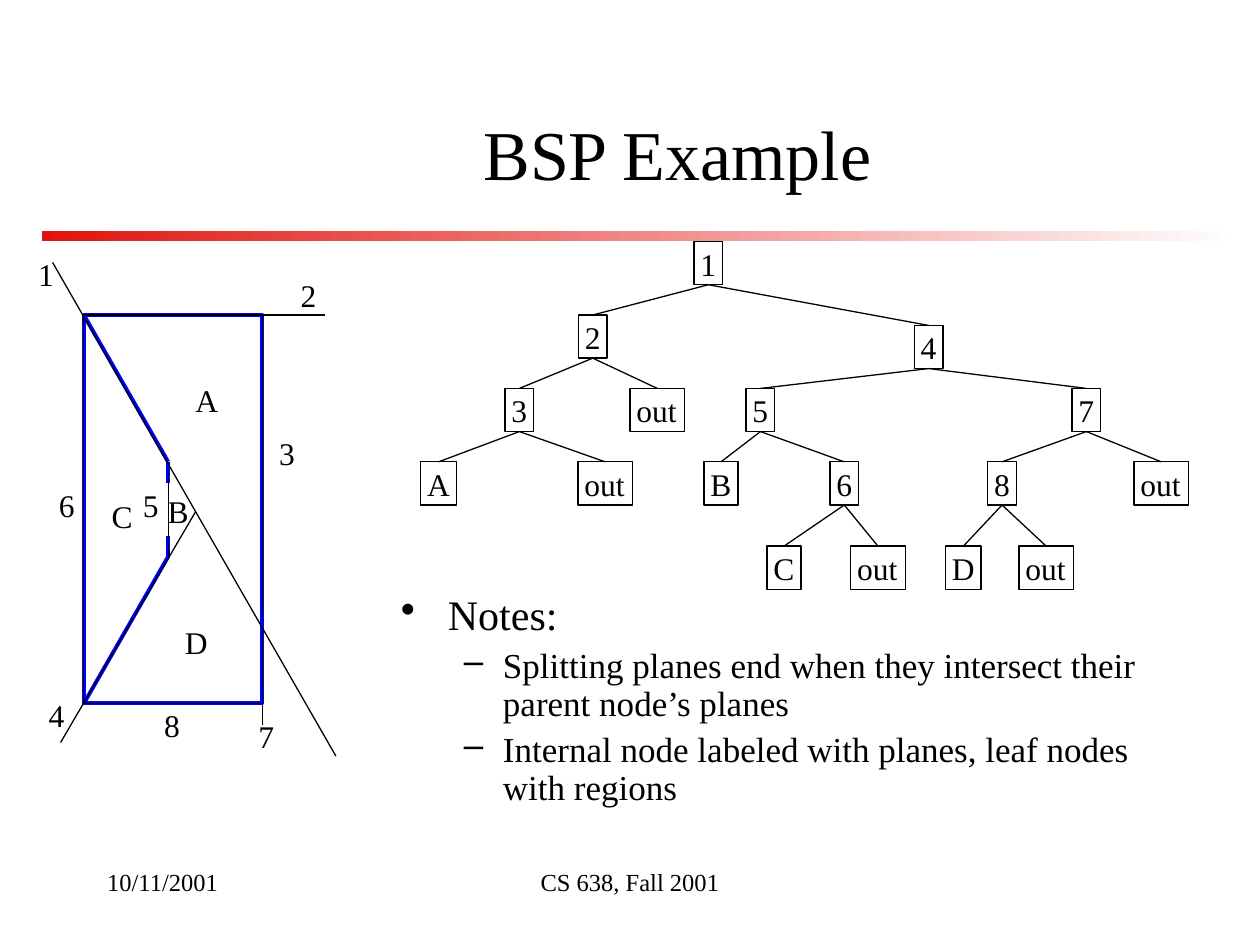
import pptx
import pptx.dml.color
import pptx.enum.dml
import pptx.enum.shapes
import pptx.enum.text
import pptx.oxml.ns
import pptx.util
from lxml import etree

Cm, Pt = pptx.util.Cm, pptx.util.Pt
RGB = pptx.dml.color.RGBColor.from_string
RECT = pptx.enum.shapes.MSO_SHAPE.RECTANGLE
ALIGN = pptx.enum.text.PP_ALIGN
ANCHOR = pptx.enum.text.MSO_ANCHOR
AUTO = pptx.enum.text.MSO_AUTO_SIZE
qn = pptx.oxml.ns.qn

COLORS = {"black": "000000", "blue": "0000FF", "red": "DF140F", "white": "FFFFFF"}
FONT = "Times New Roman"
LABEL_FRAME = {"margin_left": Cm(0.13), "margin_right": Cm(0.1), "margin_top": Cm(0.06),
               "margin_bottom": Cm(0.06), "word_wrap": False,
               "auto_size": AUTO.SHAPE_TO_FIT_TEXT, "vertical_anchor": ANCHOR.TOP}
LABEL_WIDTH = {"A": 0.72, "B": 0.69, "C": 0.69, "D": 0.72, "out": 1.1}
DIGIT_WIDTH, LABEL_HEIGHT = 0.58, 0.87

prs = pptx.Presentation()
prs.slide_width, prs.slide_height = Cm(25.4), Cm(19.05)
s = prs.slides.add_slide(prs.slide_layouts[6])


def write(sp, text, size, frame, align=ALIGN.LEFT, first=True):
    """Add one paragraph of text to a shape and return it."""
    tf = sp.text_frame
    for name, value in frame.items():
        setattr(tf, name, value)
    p = tf.paragraphs[0] if first else tf.add_paragraph()
    p.alignment = align
    r = p.add_run()
    r.text = text
    for name, value in {"name": FONT, "size": Pt(size)}.items():
        setattr(r.font, name, value)
    r.font.color.rgb = RGB(COLORS["black"])
    return p


def add_line(x1, y1, x2, y2, color="black", width=0.75):
    c = s.shapes.add_connector(pptx.enum.shapes.MSO_CONNECTOR.STRAIGHT,
                               Cm(x1), Cm(y1), Cm(x2), Cm(y2))
    c.line.color.rgb = RGB(COLORS[color])
    c.line.width = Pt(width)
    etree.SubElement(c._element.spPr, qn("a:effectLst"))
    return c


# Gradient rule under the title
sp = s.shapes.add_shape(RECT, Cm(0.85), Cm(4.66), Cm(24.13), Cm(0.21))
sp.shadow.inherit = False
sp.line.fill.background()
sp.fill.gradient()
sp.fill.gradient_angle = 180
for stop, color in zip(sp.fill.gradient_stops, ("white", "red")):
    stop.color.rgb = RGB(COLORS[color])

# Title and footer
for text, size, align, anchor, box in [
    ("BSP Example", 40, ALIGN.CENTER, ANCHOR.MIDDLE, (3.39, 1.69, 20.53, 2.75)),
    ("CS 638, Fall 2001", 14, ALIGN.CENTER, ANCHOR.TOP, (8.68, 17.36, 8.04, 1.27)),
    ("10/11/2001", 14, ALIGN.LEFT, ANCHOR.TOP, (1.91, 17.36, 5.29, 1.27)),
]:
    sp = s.shapes.add_textbox(*map(Cm, box))
    write(sp, text, size, {"word_wrap": True, "vertical_anchor": anchor}, align)

# Notes
sp = s.shapes.add_textbox(Cm(7.83), Cm(11.85), Cm(16.09), Cm(4.66))
for i, (text, level, size, before, bullet, margin, indent) in enumerate([
    ("Notes:", 0, 24, 6, "•", 0.95, -0.95),
    ("Splitting planes end when they intersect their parent node’s planes",
     1, 20, 5, "–", 2.06, -0.79),
    ("Internal node labeled with planes, leaf nodes with regions",
     1, 20, 5, "–", 2.06, -0.79),
]):
    p = write(sp, text, size, {"word_wrap": True}, first=i == 0)
    for name, value in {"level": level, "line_spacing": 0.9, "space_before": Pt(before)}.items():
        setattr(p, name, value)
    pPr = p._p.get_or_add_pPr()
    pPr.set("marL", str(Cm(margin)))
    pPr.set("indent", str(Cm(indent)))
    etree.SubElement(pPr, qn("a:buChar"), char=bullet)

# BSP tree: label, parent, left, top; every node hangs from its parent
rows = [4.87, 6.35, 7.83, 9.31, 11.01]
nodes = {}
for label, parent, left, top in [
    ("1", None, 13.99, rows[0]),
    ("2", "1", 11.66, rows[1]), ("4", "1", 18.43, 6.56),
    ("3", "2", 10.18, rows[2]), ("out", "2", 12.7, rows[2]),
    ("5", "4", 15.04, rows[2]), ("7", "4", 21.61, rows[2]),
    ("A", "3", 8.48, rows[3]), ("out", "3", 11.65, rows[3]),
    ("B", "5", 14.19, rows[3]), ("6", "5", 16.73, rows[3]),
    ("8", "7", 19.91, rows[3]), ("out", "7", 22.86, rows[3]),
    ("C", "6", 15.46, rows[4]), ("out", "6", 17.15, rows[4]),
    ("D", "8", 19.06, rows[4]), ("out", "8", 20.54, rows[4]),
]:
    sp = s.shapes.add_shape(RECT, Cm(left), Cm(top),
                            Cm(LABEL_WIDTH.get(label, DIGIT_WIDTH)), Cm(LABEL_HEIGHT))
    sp.shadow.inherit = False
    sp.fill.background()
    sp.line.color.rgb = RGB(COLORS["black"])
    sp.line.width = Pt(0.75)
    write(sp, label, 18, LABEL_FRAME)
    nodes[label] = sp
    if parent:
        c = add_line(0, 0, 1, 1)
        c.begin_connect(nodes[parent], 2)
        c.end_connect(sp, 0)

# Polygon edges
left, right, top, bottom, notch = 1.69, 5.29, 6.35, 14.18, 3.39
sp = s.shapes.add_shape(RECT, Cm(left), Cm(top), Cm(right - left), Cm(bottom - top))
sp.shadow.inherit = False
sp.fill.background()
sp.line.color.rgb = RGB(COLORS["blue"])
sp.line.width = Pt(2.25)
for ends in [
    (left, top, notch, 9.31), (left, bottom, notch, 11.22),
    (notch, 9.31, notch, 9.74), (notch, 10.8, notch, 11.22),
]:
    add_line(*ends, color="blue", width=2.25)

# Splitting planes
for ends in [
    (1.06, 5.29, 6.77, 15.24), (left, top, 6.56, top), (right, 12.49, right, top),
    (1.22, 14.97, 3.94, 10.32), (notch, 9.53, notch, 11.22), (left, top, left, bottom),
    (right, 12.7, right, 14.61), (right, bottom, left, bottom),
]:
    add_line(*ends)

# Plane numbers and region letters
for label, x, y in [
    ("1", 0.64, 5.08), ("2", 5.93, 5.5), ("3", 5.5, 8.68), ("4", 0.85, 13.97),
    ("5", 2.75, 9.74), ("6", 1.06, 9.74), ("7", 5.08, 14.39), ("8", 3.18, 14.18),
    ("A", 3.81, 7.62), ("B", 3.25, 9.86), ("C", 2.12, 9.95), ("D", 3.6, 12.49),
]:
    sp = s.shapes.add_textbox(Cm(x), Cm(y), Cm(LABEL_WIDTH.get(label, DIGIT_WIDTH)),
                              Cm(LABEL_HEIGHT))
    write(sp, label, 18, LABEL_FRAME)

prs.save("out.pptx")
